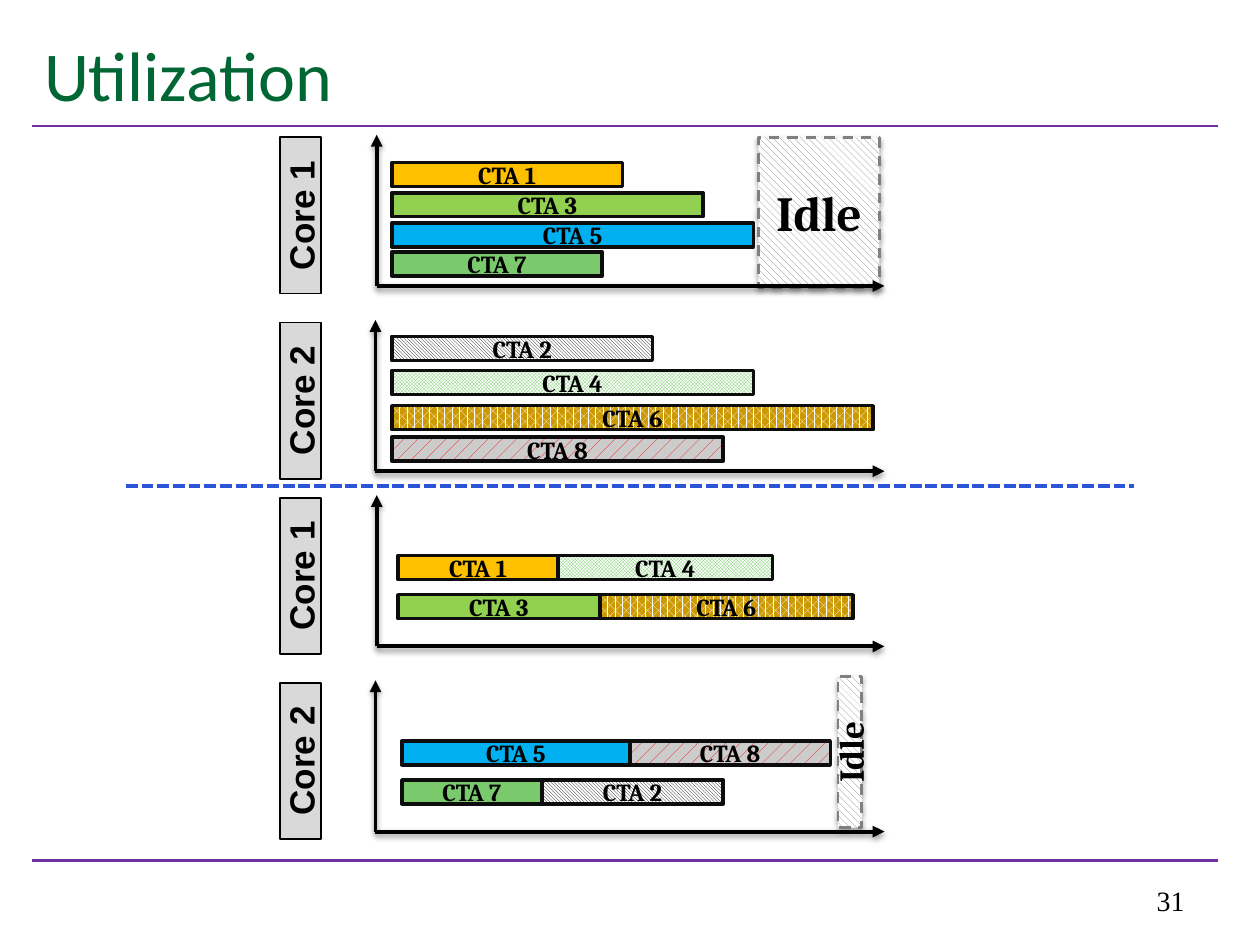
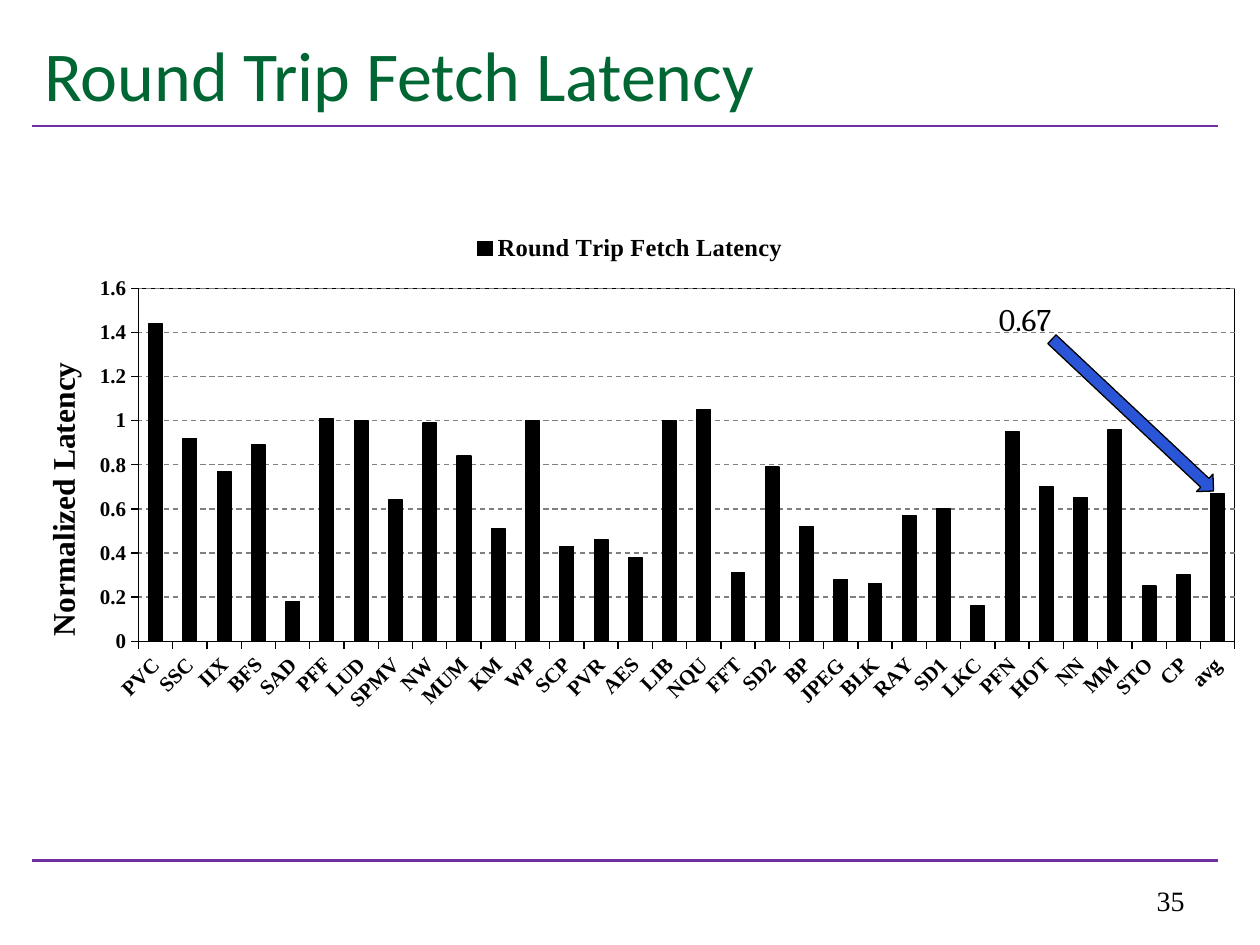
from dataclasses import dataclass

from pptx import Presentation
from pptx import util as u
from pptx.chart.data import CategoryChartData
from pptx.dml.color import RGBColor
from pptx.enum import chart as c
from pptx.enum import dml, shapes, text
from pptx.oxml import parse_xml
from pptx.oxml.ns import nsdecls, qn


@dataclass(frozen=True)
class Theme:
    title_color: str = "006633"
    rule: str = "7030A0"
    accent: str = "2A55D6"
    ink: str = "000000"
    bar_outline: str = "0D0D0D"
    label_fill: str = "D9D9D9"
    gray: str = "808080"
    title_font: str = "Calibri"
    label_font: str = "Arial"
    bar_font: str = "Cambria"
    chart_font: str = "Times New Roman"
    title_size: int = 40
    idle_size: int = 28
    label_size: int = 20
    note_size: int = 18
    number_size: int = 16
    bar_size: int = 14
    axis_size: int = 12


THEME = Theme()
PATTERN = dml.MSO_PATTERN

# A fill is a colour, or a pattern with its foreground and background
CTA_FILLS = {
    1: "FFC000",
    2: (PATTERN.LIGHT_DOWNWARD_DIAGONAL, "000000", "FFFFFF"),
    3: "92D050",
    4: (PATTERN.SMALL_CHECKER_BOARD, "73C764", "FFFFFF"),
    5: "00B0F0",
    6: (PATTERN.PERCENT_60, "FFFFFF", "CC9900"),
    7: "7AC96C",
    8: (PATTERN.PERCENT_10, "FF0000", "CCCCCC"),
}
IDLE_FILL = (PATTERN.WIDE_DOWNWARD_DIAGONAL, THEME.gray, "FFFFFF")

# Core name, axis x, axis y, first bar x, rows of (bar top, [(CTA, width)])
CORES = [
    ("Core 1", 2.99, 2.27, 3.11,
     [(1.29, [(1, 1.83)]), (1.53, [(3, 2.47)]),
      (1.77, [(5, 2.87)]), (2.0, [(7, 1.67)])]),
    ("Core 2", 2.98, 3.74, 3.11,
     [(2.67, [(2, 2.07)]), (2.94, [(4, 2.87)]),
      (3.22, [(6, 3.82)]), (3.47, [(8, 2.63)])]),
    ("Core 1", 2.99, 5.13, 3.16,
     [(4.41, [(1, 1.27), (4, 1.7)]), (4.72, [(3, 1.6), (6, 2.01)])]),
    ("Core 2", 2.98, 6.6, 3.19,
     [(5.88, [(5, 1.81), (8, 1.59)]), (6.19, [(7, 1.11), (2, 1.44)])]),
]

LATENCIES = {
    "PVC": 1.44, "SSC": 0.92, "IIX": 0.77, "BFS": 0.89, "SAD": 0.18,
    "PFF": 1.01, "LUD": 1, "SPMV": 0.64, "NW": 0.99, "MUM": 0.84,
    "KM": 0.51, "WP": 1, "SCP": 0.43, "PVR": 0.46, "AES": 0.38,
    "LIB": 1, "NQU": 1.05, "FFT": 0.31, "SD2": 0.79, "BP": 0.52,
    "JPEG": 0.28, "BLK": 0.26, "RAY": 0.57, "SD1": 0.6, "LKC": 0.16,
    "PFN": 0.95, "HOT": 0.7, "NN": 0.65, "MM": 0.96, "STO": 0.25,
    "CP": 0.3, "avg": 0.67,
}


def inches(*lengths):
    return [u.Inches(length) for length in lengths]


# Formatting
def set_font(font, name, size, color=THEME.ink, bold=False):
    font.name, font.size, font.bold = name, u.Pt(size), bold
    font.color.rgb = RGBColor.from_string(color)


def write_text(frame, content, font, size, color=THEME.ink, bold=False,
               align=text.PP_ALIGN.LEFT, anchor=text.MSO_ANCHOR.TOP,
               margin=None, vertical=False):
    frame.word_wrap = True
    frame.auto_size = text.MSO_AUTO_SIZE.NONE
    frame.vertical_anchor = anchor
    if margin is not None:
        frame.margin_left = frame.margin_right = u.Inches(margin)
        frame.margin_top = frame.margin_bottom = u.Inches(margin)
    if vertical:
        frame._txBody.bodyPr.set("vert", "vert270")
    paragraph = frame.paragraphs[0]
    paragraph.alignment = align
    run = paragraph.add_run()
    run.text = content
    set_font(run.font, font, size, color, bold)


def set_line(line, color, width, dash=None):
    line.color.rgb = RGBColor.from_string(color)
    line.width = u.Pt(width)
    if dash:
        line.dash_style = dash


def set_fill(fill, paint):
    if isinstance(paint, str):
        fill.solid()
        fill.fore_color.rgb = RGBColor.from_string(paint)
        return
    pattern, foreground, background = paint
    fill.patterned()
    fill.pattern = pattern
    fill.fore_color.rgb = RGBColor.from_string(foreground)
    fill.back_color.rgb = RGBColor.from_string(background)


def set_shadow(shape, opacity=0, blur=3.1, distance=1.7):
    """Replace the theme shadow by a soft one below, or by none."""
    properties = shape._element.spPr
    for effects in properties.findall(qn("a:effectLst")):
        properties.remove(effects)
    shadow = (
        f'<a:outerShdw blurRad="{u.Pt(blur)}" dist="{u.Pt(distance)}" '
        'dir="5400000" rotWithShape="0">'
        f'<a:srgbClr val="{THEME.ink}"><a:alpha val="{opacity * 1000}"/>'
        '</a:srgbClr></a:outerShdw>') if opacity else ""
    properties.append(parse_xml(
        f'<a:effectLst {nsdecls("a")}>{shadow}</a:effectLst>'))


# Kinds of element
def add_line(slide, start, end, color, width, dash=None, arrow=False):
    connector = slide.shapes.add_connector(
        shapes.MSO_CONNECTOR.STRAIGHT, *inches(*start, *end))
    set_line(connector.line, color, width, dash)
    if arrow:
        connector.line._get_or_add_ln().append(
            parse_xml(f'<a:tailEnd {nsdecls("a")} type="triangle"/>'))
    set_shadow(connector, opacity=38 if arrow else 0)


def add_box(slide, box, paint, outline, width, dash=None, shadow=0,
            kind=shapes.MSO_SHAPE.RECTANGLE):
    shape = slide.shapes.add_shape(kind, *inches(*box))
    set_fill(shape.fill, paint)
    set_line(shape.line, outline, width, dash)
    set_shadow(shape, opacity=shadow)
    return shape


def add_label_box(slide, box, content, paint, outline, width, font, size,
                  vertical=False, **box_format):
    shape = add_box(slide, box, paint, outline, width, **box_format)
    write_text(shape.text_frame, content, font, size, bold=True,
               align=text.PP_ALIGN.CENTER, anchor=text.MSO_ANCHOR.MIDDLE,
               margin=0, vertical=vertical)


def add_text(slide, box, content, **text_format):
    write_text(slide.shapes.add_textbox(*inches(*box)).text_frame,
               content, **text_format)


def add_idle(slide, box, size, vertical=False):
    add_label_box(slide, box, "Idle", IDLE_FILL, THEME.gray, 1.5,
                  THEME.bar_font, size, vertical,
                  dash=dml.MSO_LINE.DASH, shadow=35)


def add_core(slide, name, axis_x, axis_y, bar_x, rows):
    """Draw a core's name, its CTA bars and its two time axes."""
    add_label_box(slide, (2.22, axis_y - 1.18, 0.33, 1.24), name,
                  THEME.label_fill, THEME.ink, 1,
                  THEME.label_font, THEME.label_size, vertical=True)
    for top, bars in rows:
        left = bar_x
        for number, width in bars:
            add_label_box(slide, (left, top, width, 0.19), f"CTA {number}",
                          CTA_FILLS[number], THEME.bar_outline, 2,
                          THEME.bar_font, THEME.bar_size)
            left += width
    for end in ((axis_x, axis_y - 1.2), (7.02, axis_y)):
        add_line(slide, (axis_x, axis_y), end, THEME.ink, 2.25, arrow=True)


def place_in_chart(element, index, inner=False, **fractions):
    """Give a chart part a manual layout, in fractions of the chart."""
    for layout in element.findall(qn("c:layout")):
        element.remove(layout)
    target = '<c:layoutTarget val="inner"/>' if inner else ""
    modes = '<c:xMode val="edge"/><c:yMode val="edge"/>'
    places = "".join(f'<c:{key} val="{value}"/>'
                     for key, value in fractions.items())
    element.insert(index, parse_xml(
        f'<c:layout {nsdecls("c")}><c:manualLayout>{target}{modes}{places}'
        '</c:manualLayout></c:layout>'))


def add_latency_chart(slide):
    data = CategoryChartData()
    data.categories = list(LATENCIES)
    data.add_series("Round Trip Fetch Latency", list(LATENCIES.values()))
    chart = slide.shapes.add_chart(
        c.XL_CHART_TYPE.COLUMN_CLUSTERED, *inches(0, 1.75, 10, 4), data).chart
    set_font(chart.font, THEME.chart_font, 10)
    chart.has_title = False

    # Columns
    plot = chart.plots[0]
    plot.gap_width = 150
    plot.vary_by_categories = False
    columns = plot.series[0].format
    set_fill(columns.fill, THEME.ink)
    set_line(columns.line, THEME.ink, 0.75)

    # Legend
    chart.has_legend = True
    chart.legend.position = c.XL_LEGEND_POSITION.TOP
    chart.legend.include_in_layout = False
    set_font(chart.legend.font, THEME.chart_font, THEME.bar_size, bold=True)

    # Axes
    for axis in (chart.category_axis, chart.value_axis):
        axis.major_tick_mark = c.XL_TICK_MARK.OUTSIDE
        axis.minor_tick_mark = c.XL_TICK_MARK.NONE
        set_line(axis.format.line, THEME.ink, 0.75)
        set_font(axis.tick_labels.font, THEME.chart_font, THEME.axis_size,
                 bold=True)
    labels = chart.category_axis._element.find(qn("c:txPr"))
    labels.find(qn("a:bodyPr")).set("rot", "-2700000")
    value_axis = chart.value_axis
    value_axis.minimum_scale, value_axis.maximum_scale = 0, 1.6
    value_axis.major_unit = 0.2
    value_axis.has_major_gridlines = True
    set_line(value_axis.major_gridlines.format.line, THEME.gray, 0.75,
             dml.MSO_LINE.DASH)
    title = value_axis.axis_title
    title.text_frame.text = "Normalized Latency"
    set_font(title.text_frame.paragraphs[0].runs[0].font, THEME.chart_font,
             THEME.note_size, bold=True)
    place_in_chart(title._element, 1, x=0.03, y=0.27)

    # Plot area with a thin frame
    plot_area = chart._chartSpace.chart.plotArea
    place_in_chart(plot_area, 0, inner=True, x=0.11, y=0.135, w=0.87, h=0.7)
    plot_area.append(parse_xml(
        f'<c:spPr {nsdecls("c", "a")}><a:noFill/><a:ln w="{u.Pt(0.75)}">'
        f'<a:solidFill><a:srgbClr val="{THEME.ink}"/></a:solidFill></a:ln>'
        '</c:spPr>'))


# Slides
def add_slide(presentation, title, number):
    """Start a slide with its title, two rules and page number."""
    slide = presentation.slides.add_slide(presentation.slide_layouts[5])
    for y in (1, 6.83):
        add_line(slide, (0.25, y), (9.67, y), THEME.rule, 1.5)
    holder = slide.shapes.title
    holder.left, holder.top, holder.width, holder.height = inches(
        0.25, 0.17, 9.42, 0.83)
    write_text(holder.text_frame, title, THEME.title_font, THEME.title_size,
               THEME.title_color, anchor=text.MSO_ANCHOR.MIDDLE)
    add_text(slide, (7.17, 6.83, 2.33, 0.5), str(number),
             font=THEME.chart_font, size=THEME.number_size,
             align=text.PP_ALIGN.RIGHT, anchor=text.MSO_ANCHOR.BOTTOM)
    return slide


def build_utilization(presentation):
    slide = add_slide(presentation, "Utilization", 31)
    add_idle(slide, (6.02, 1.09, 0.96, 1.19), THEME.idle_size)
    add_idle(slide, (6.65, 5.37, 0.19, 1.2), THEME.label_size, vertical=True)
    for core in CORES:
        add_core(slide, *core)
    add_line(slide, (1, 3.86), (9, 3.86), THEME.accent, 2.25,
             dml.MSO_LINE.SQUARE_DOT)


def build_latency(presentation):
    slide = add_slide(presentation, "Round Trip Fetch Latency", 35)
    add_latency_chart(slide)
    arrow = add_box(slide, (8.11, 3.2, 1.76, 0.19), THEME.accent, THEME.ink,
                    0.75, kind=shapes.MSO_SHAPE.RIGHT_ARROW)
    arrow.rotation = 43.2
    add_text(slide, (7.83, 2.33, 0.75, 0.4), "0.67",
             font=THEME.bar_font, size=THEME.note_size)


def main():
    presentation = Presentation()
    presentation.slide_width, presentation.slide_height = inches(10, 7.5)
    build_utilization(presentation)
    build_latency(presentation)
    presentation.save("out.pptx")


if __name__ == "__main__":
    main()
